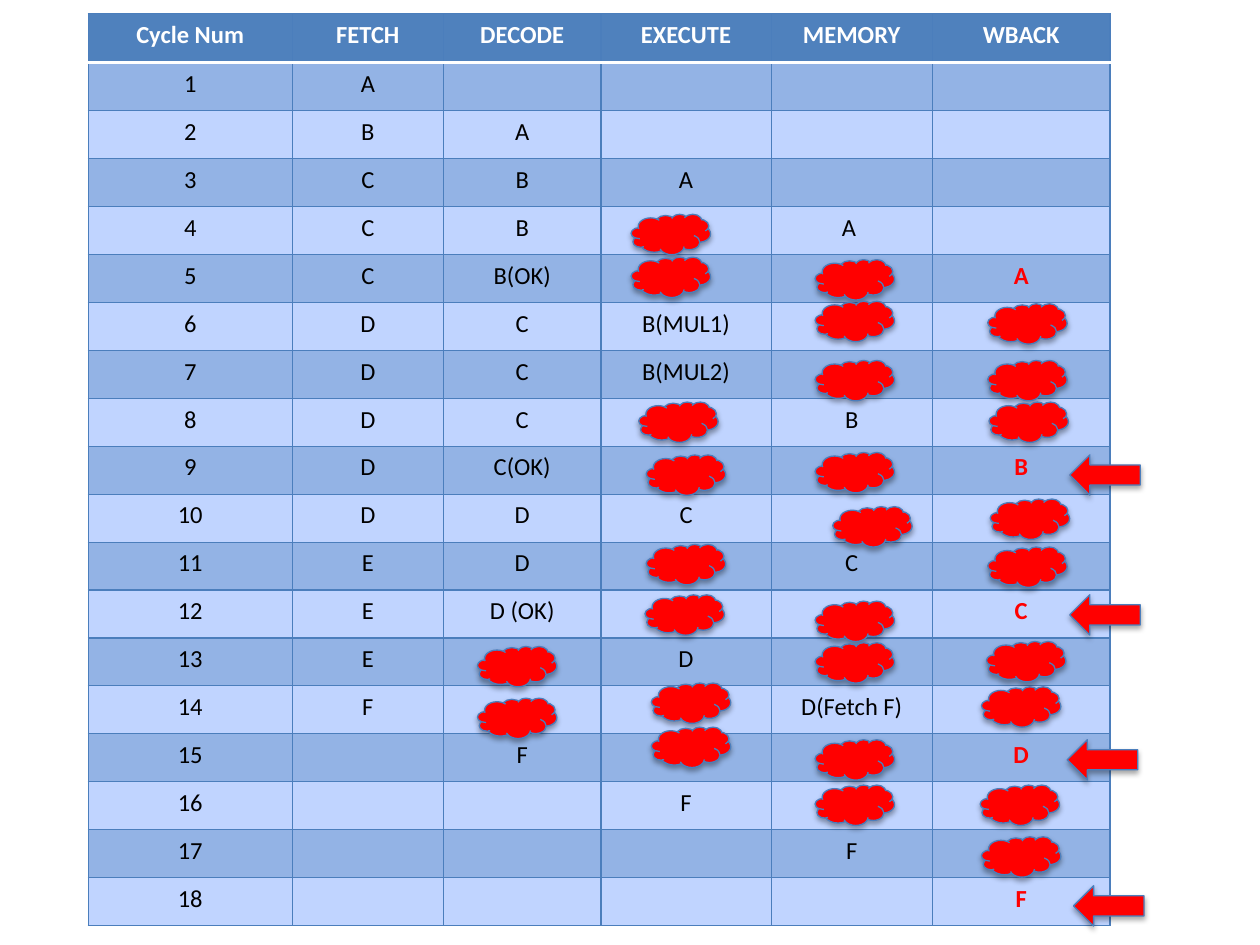
from lxml import etree
from pptx import Presentation
from pptx.dml.color import RGBColor
from pptx.enum.shapes import MSO_SHAPE as Shape
from pptx.enum.text import PP_ALIGN as Align
from pptx.oxml import parse_xml
from pptx.oxml.ns import qn
from pptx.util import Inches, Pt

BLUE, EDGE, RED, WHITE, BLACK = "4F81BD", "4B7EBC", "FF0000", "FFFFFF", "000000"
ODD_ROW, EVEN_ROW = "93B3E5", "C0D4FF"
NS = 'xmlns:a="http://schemas.openxmlformats.org/drawingml/2006/main"'


def rgb(value):
    return RGBColor.from_string(value)


def write(cell, text, size=14, color=BLACK, bold=False):
    para = cell.text_frame.paragraphs[0]
    para.alignment = Align.CENTER
    if not text:  # an empty cell still needs the small size to keep its row low
        etree.SubElement(para._p, qn("a:endParaRPr"), sz=str(size * 100))
        return
    span = para.add_run()
    span.text = text
    span.font.name = "Calibri"
    span.font.size = Pt(size)
    span.font.bold = bold
    span.font.color.rgb = rgb(color)


deck = Presentation()
deck.slide_width, deck.slide_height = Inches(10), Inches(7.5)
page = deck.slides.add_slide(deck.slide_layouts[6])

# Pipeline stages: one row per cycle
header = ["Cycle Num", "FETCH", "DECODE", "EXECUTE", "MEMORY", "WBACK"]
stages = [
    ["A", "", "", "", ""],
    ["B", "A", "", "", ""],
    ["C", "B", "A", "", ""],
    ["C", "B", "", "A ", ""],
    ["C", "B(OK)", "", "", "A"],
    ["D", "C", "B(MUL1)", "", ""],
    ["D", "C", "B(MUL2)", "", ""],
    ["D", "C", "", "B", ""],
    ["D", "C(OK)", "", "", "B"],
    ["D", "D", "C", "", ""],
    ["E", "D", "", "C", ""],
    ["E", "D (OK)", "", "", "C"],
    ["E", "", "D", "", ""],
    ["F", "", "", "D(Fetch F)", ""],
    ["", "F", "", "", "D"],
    ["", "", "F", "", ""],
    ["", "", "", "F", ""],
    ["", "", "", "", "F"],
]
rows = [header] + [[str(cycle)] + row for cycle, row in enumerate(stages, 1)]
widths = [1.62, 1.2, 1.25, 1.35, 1.28, 1.41]

table = page.shapes.add_table(
    len(rows), len(header), Inches(0.7), Inches(0.11), Inches(8.11), Inches(7.24)
).table
for column, width in zip(table.columns, widths):
    column.width = Inches(width)
for r, row in enumerate(table.rows):
    row.height = Inches(0.39) if r == 0 else Inches(6.85 / len(stages))

for r, row in enumerate(rows):
    for c, text in enumerate(row):
        cell = table.cell(r, c)
        if r == 0:
            fill, color = BLUE, WHITE
        else:
            fill = ODD_ROW if r % 2 else EVEN_ROW
            color = RED if c == len(header) - 1 else BLACK
        write(cell, text, color=color, bold=color != BLACK)

        # Cell borders come before the fill; a white rule runs under the header
        borders = cell._tc.get_or_add_tcPr()
        for side in ("L", "R", "T", "B"):
            ruled = (r, side) in ((0, "B"), (1, "T"))
            line, weight = (WHITE, 2) if ruled else (EDGE, 0.75)
            borders.append(parse_xml(
                f'<a:ln{side} {NS} w="{Pt(weight)}"><a:solidFill>'
                f'<a:srgbClr val="{line}"/></a:solidFill></a:ln{side}>'))
        cell.fill.solid()
        cell.fill.fore_color.rgb = rgb(fill)

# Stall bubbles (left, top) by stage, and arrows at the completed instructions
decode = [(3.79, 5.13), (3.79, 5.54)]
execute = [(5.01, 1.7), (5.01, 2.04), (5.07, 3.19), (5.13, 3.61), (5.13, 4.32),
           (5.12, 4.72), (5.17, 5.42), (5.17, 5.77)]
memory = [(6.47, top) for top in (2.06, 2.39, 2.86, 3.59, 4.77, 5.1, 5.87, 6.23)]
memory.append((6.61, 4.02))
wback = [(7.84, 2.41), (7.84, 2.86), (7.85, 3.19), (7.86, 3.96), (7.84, 4.34),
         (7.83, 5.09), (7.79, 5.45), (7.78, 6.23), (7.79, 6.64)]
arrows = [(8.49, 3.61), (8.49, 4.72), (8.47, 5.87), (8.52, 7.03)]

markers = [(Shape.CLOUD, 0.63, spot) for spot in decode + execute + memory + wback]
markers += [(Shape.LEFT_ARROW, 0.56, spot) for spot in arrows]
for kind, width, (left, top) in markers:
    marker = page.shapes.add_shape(
        kind, Inches(left), Inches(top), Inches(width), Inches(0.32))
    marker.fill.solid()
    marker.fill.fore_color.rgb = rgb(RED)
    marker.line.color.rgb = rgb(EDGE)
    marker.line.width = Pt(0.75)
    marker.shadow.inherit = False
    effects = marker._element.spPr.find(qn("a:effectLst"))
    effects.append(parse_xml(
        f'<a:outerShdw {NS} blurRad="{Pt(3.1)}" dist="{Pt(1.8)}" dir="5400000" '
        f'rotWithShape="0"><a:srgbClr val="{BLACK}"><a:alpha val="35000"/>'
        '</a:srgbClr></a:outerShdw>'))

deck.save("out.pptx")
